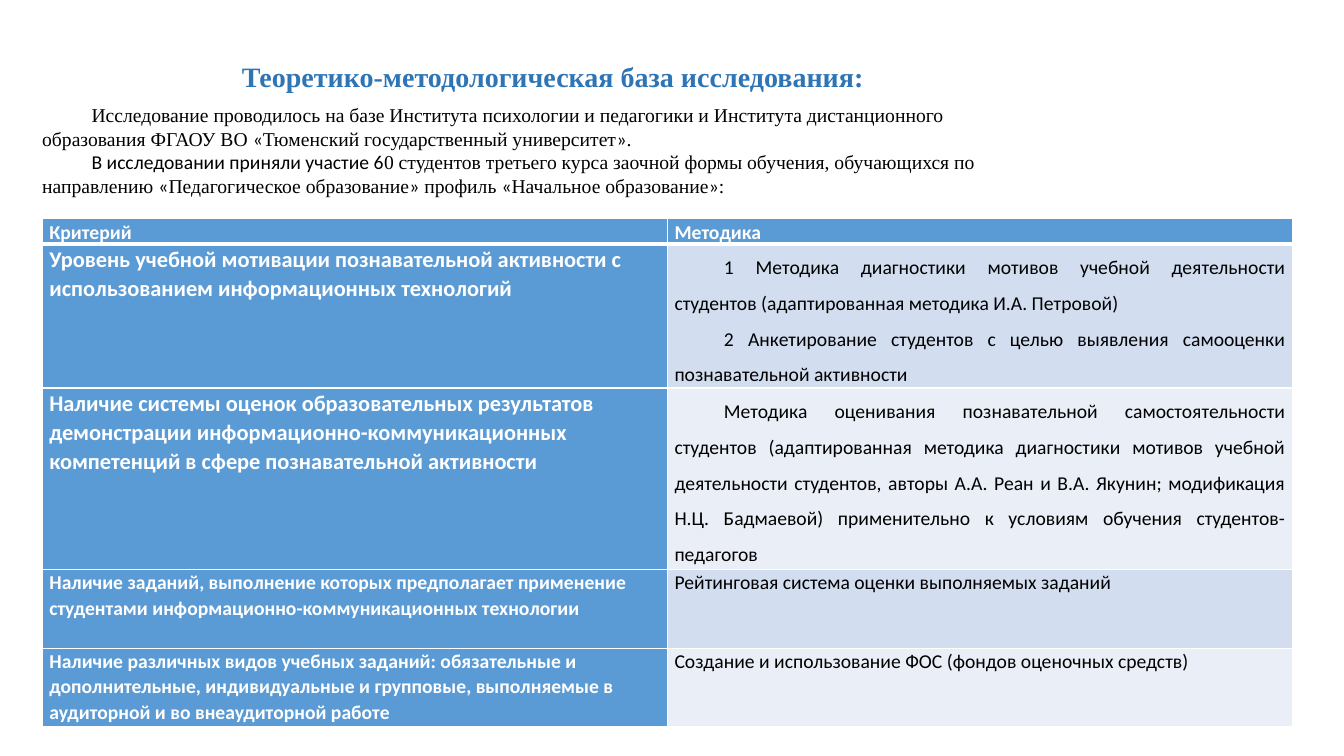
from lxml import etree
from pptx import Presentation
from pptx.dml.color import RGBColor
from pptx.enum.text import MSO_ANCHOR, PP_ALIGN
from pptx.oxml.ns import qn
from pptx.util import Inches, Pt

TITLE_BLUE = RGBColor(0x2E, 0x75, 0xB6)
HEADER_BLUE = RGBColor(0x5B, 0x9B, 0xD5)
BAND_DARK = RGBColor(0xD2, 0xDE, 0xEF)
BAND_LIGHT = RGBColor(0xEA, 0xEF, 0xF7)
WHITE = RGBColor(0xFF, 0xFF, 0xFF)
BLACK = RGBColor(0, 0, 0)
SERIF, SANS = "Times New Roman", "Calibri"
INDENTED = {"alignment": PP_ALIGN.JUSTIFY, "line_spacing": 1.5}
PLAIN = {"alignment": PP_ALIGN.LEFT, "line_spacing": 1.07}


def fill_paragraph(p, runs, size, color, bold, layout, indent=0):
    for name, value in layout.items():
        setattr(p, name, value)
    pPr = p._p.get_or_add_pPr()
    pPr.set("marL", "0")
    pPr.set("indent", str(Inches(indent)))
    for text, font in runs:
        r = p.add_run()
        r.text = text
        for name, value in {"name": font, "size": Pt(size), "bold": bold}.items():
            setattr(r.font, name, value)
        r.font.color.rgb = color


def set_borders(cell, widths):
    tcPr = cell._tc.get_or_add_tcPr()
    for i, (side, width) in enumerate(widths.items()):
        ln = etree.Element(qn("a:ln" + side), w=str(Pt(width)))
        fill = etree.SubElement(ln, qn("a:solidFill"))
        etree.SubElement(fill, qn("a:srgbClr"), val=str(WHITE))
        tcPr.insert(i, ln)


prs = Presentation()
prs.slide_width, prs.slide_height = Inches(13.33), Inches(7.5)
s = prs.slides.add_slide(prs.slide_layouts[6])

sp = s.shapes.add_textbox(Inches(1.81), Inches(0.37), Inches(10.66), Inches(0.55))
tf = sp.text_frame
tf.word_wrap = True
title = [("Теоретико-методологическая база исследования:", SERIF)]
fill_paragraph(tf.paragraphs[0], title, 20, TITLE_BLUE, True, INDENTED, 0.49)

ROWS = [
    (0.25, 14, "Критерий", ["Методика"]),
    (1.43, 16,
     "Уровень учебной мотивации познавательной активности с использованием "
     "информационных технологий",
     ["1 Методика диагностики мотивов учебной деятельности студентов "
      "(адаптированная методика И.А. Петровой)",
      "2 Анкетирование студентов с целью выявления самооценки "
      "познавательной активности"]),
    (1.8, 16,
     "Наличие системы оценок образовательных результатов демонстрации "
     "информационно-коммуникационных компетенций в сфере познавательной активности",
     ["Методика оценивания познавательной самостоятельности студентов "
      "(адаптированная методика диагностики мотивов учебной деятельности "
      "студентов, авторы А.А. Реан и В.А. Якунин; модификация Н.Ц. Бадмаевой) "
      "применительно к условиям обучения студентов-педагогов"]),
    (0.78, 14,
     "Наличие заданий, выполнение которых предполагает применение студентами "
     "информационно-коммуникационных технологии",
     ["Рейтинговая система оценки выполняемых заданий"]),
    (0.78, 14,
     "Наличие различных видов учебных заданий: обязательные и дополнительные, "
     "индивидуальные и групповые, выполняемые в аудиторной и во внеаудиторной работе",
     ["Создание и использование ФОС (фондов оценочных средств)"]),
]
table = s.shapes.add_table(len(ROWS), 2, Inches(0.42), Inches(2.17),
                           Inches(12.4), Inches(5.04)).table
for i, (height, size, criterion, methods) in enumerate(ROWS):
    table.rows[i].height = Inches(height)
    for j, lines in enumerate([[criterion], methods]):
        cell = table.cell(i, j)
        heading = i == 0 or j == 0
        margins = {"margin_left": 0.07, "margin_right": 0.07,
                   "margin_top": 0, "margin_bottom": 0}
        for name, value in margins.items():
            setattr(cell, name, Inches(value))
        cell.fill.solid()
        band = BAND_DARK if i % 2 else BAND_LIGHT
        cell.fill.fore_color.rgb = HEADER_BLUE if heading else band
        set_borders(cell, {"L": 1, "R": 1, "T": 3 if i == 1 else 1,
                           "B": 3 if i == 0 else 1})
        indented = j == 1 and i in (1, 2)
        tf = cell.text_frame
        for n, line in enumerate(lines):
            p = tf.add_paragraph() if n else tf.paragraphs[0]
            fill_paragraph(p, [(line, SANS)], size if j == 0 else 14,
                           WHITE if heading else BLACK, heading,
                           INDENTED if indented else PLAIN,
                           0.49 if indented else 0)

INTRO = [
    [("Исследование проводилось на базе Института психологии и педагогики и "
      "Института дистанционного образования ФГАОУ ВО ", SERIF),
     ("«", SANS), ("Тюменский государственный университет", SERIF),
     ("»", SANS), (".", SERIF)],
    [("В исследовании приняли участие 6", SANS),
     ("0 студентов третьего курса заочной формы обучения, обучающихся по "
      "направлению ", SERIF),
     ("«", SANS), ("Педагогическое образование", SERIF), ("»", SANS),
     (" профиль ", SERIF),
     ("«", SANS), ("Начальное образование", SERIF), ("»", SANS), (":", SERIF)],
]
sp = s.shapes.add_textbox(Inches(0.32), Inches(0.97), Inches(9.84), Inches(1.04))
tf = sp.text_frame
tf.word_wrap = True
tf.vertical_anchor = MSO_ANCHOR.MIDDLE
for n, runs in enumerate(INTRO):
    p = tf.add_paragraph() if n else tf.paragraphs[0]
    fill_paragraph(p, runs, 14, BLACK, False, {"alignment": PP_ALIGN.LEFT}, 0.49)

prs.save("out.pptx")
